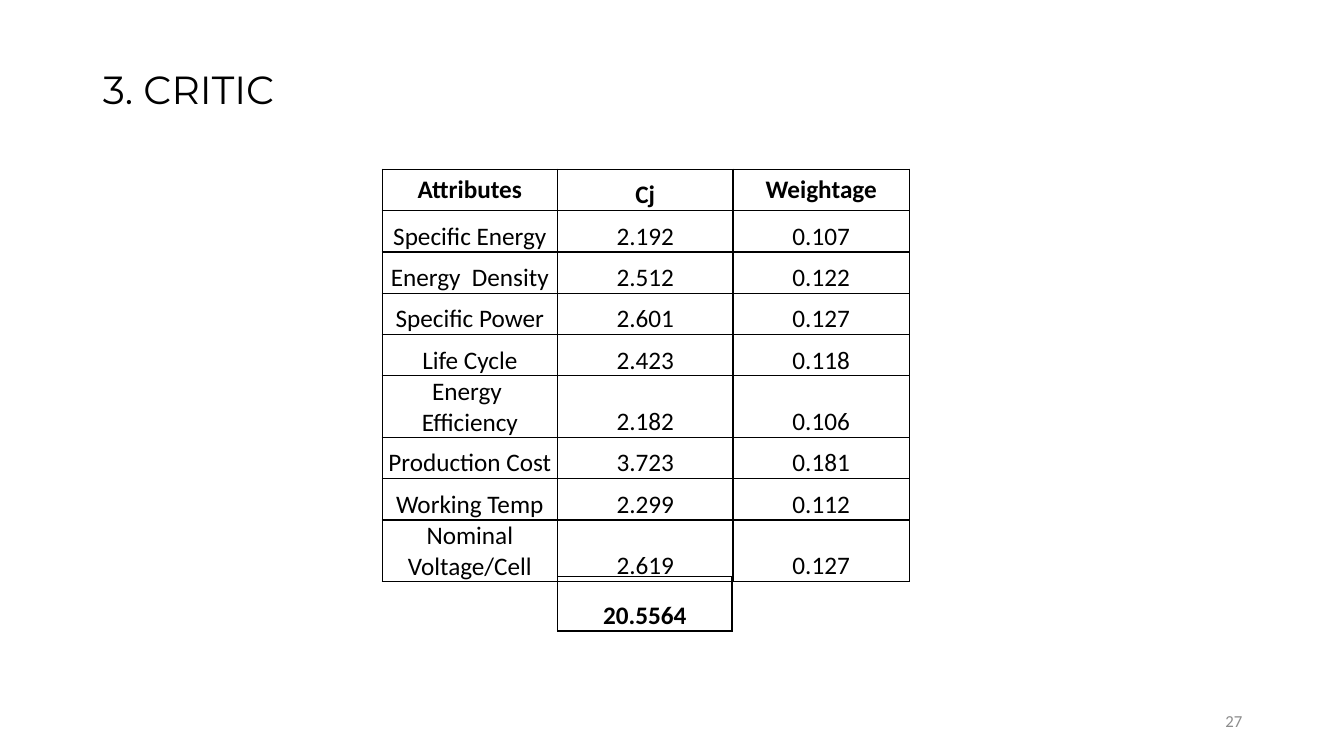
from pptx import Presentation
from pptx.dml.color import RGBColor
from pptx.enum.text import MSO_ANCHOR, PP_ALIGN
from pptx.oxml import parse_xml
from pptx.oxml.ns import nsdecls
from pptx.util import Inches, Pt

BLACK = RGBColor(0x00, 0x00, 0x00)
GRAY = RGBColor(0x8C, 0x8C, 0x8C)


def write(tf, text, size=18, font="Calibri", color=BLACK, bold=False, align=PP_ALIGN.CENTER):
    p = tf.paragraphs[0]
    p.alignment = align
    r = p.add_run()
    r.text = text
    r.font.size = Pt(size)
    r.font.name = font
    r.font.color.rgb = color
    r.font.bold = bold
    return p


def add_grid(shapes, rows, left, top, widths, height, bold_rows=1, roomy=()):
    frame = shapes.add_table(len(rows), len(widths), Inches(left), Inches(top),
                             Inches(sum(widths)), Inches(height * len(rows)))
    table = frame.table
    table.first_row = False
    table.horz_banding = False
    for column, width in zip(table.columns, widths):
        column.width = Inches(width)
    for i, row in enumerate(rows):
        table.rows[i].height = Inches(height)
        for j, text in enumerate(row):
            cell = table.cell(i, j)
            write(cell.text_frame, text, bold=i < bold_rows)
            if (i, j) not in roomy:
                cell.vertical_anchor = MSO_ANCHOR.BOTTOM
                cell.margin_left = cell.margin_right = cell.margin_top = Inches(0.01)
                cell.margin_bottom = 0
            tcPr = cell._tc.get_or_add_tcPr()
            for side in ("lnL", "lnR", "lnT", "lnB"):
                tcPr.append(parse_xml(
                    f'<a:{side} {nsdecls("a")} w="{Pt(1)}"><a:solidFill>'
                    f'<a:srgbClr val="{BLACK}"/></a:solidFill></a:{side}>'))
            cell.fill.background()


prs = Presentation()
prs.slide_width = Inches(13.33)
prs.slide_height = Inches(7.5)
s = prs.slides.add_slide(prs.slide_layouts[1])
title = s.shapes.title
title._element.getparent().remove(title._element)

body = s.placeholders[1]
body.left, body.top = Inches(0.92), Inches(0.65)
body.width, body.height = Inches(11.5), Inches(6.1)
p = write(body.text_frame, "3. CRITIC", size=28, font="Montserrat", align=PP_ALIGN.LEFT)
p.line_spacing = 0.9
p.space_before = Pt(10)
pPr = p._p.get_or_add_pPr()
pPr.set("marL", "0")
pPr.set("indent", "0")
pPr.append(parse_xml(f'<a:buNone {nsdecls("a")}/>'))

number = s.shapes.add_textbox(Inches(9.42), Inches(6.95), Inches(3), Inches(0.4))
tf = number.text_frame
tf.word_wrap = True
tf.vertical_anchor = MSO_ANCHOR.MIDDLE
write(tf, "27", size=12, color=GRAY, align=PP_ALIGN.RIGHT)

weights = [
    ("Attributes", "Cj", "Weightage"),
    ("Specific Energy", "2.192", "0.107"),
    ("Energy  Density", "2.512", "0.122"),
    ("Specific Power", "2.601", "0.127"),
    ("Life Cycle", "2.423", "0.118"),
    ("Energy  Efficiency", "2.182", "0.106"),
    ("Production Cost", "3.723", "0.181"),
    ("Working Temp", "2.299", "0.112"),
    ("Nominal Voltage/Cell", "2.619", "0.127"),
]
add_grid(s.shapes, weights, 3.79, 1.68, (1.74, 1.74, 1.75), 0.41, roomy=((0, 0), (0, 2)))
add_grid(s.shapes, [("20.5564",)], 5.53, 5.72, (1.73,), 0.54)

prs.save("out.pptx")
